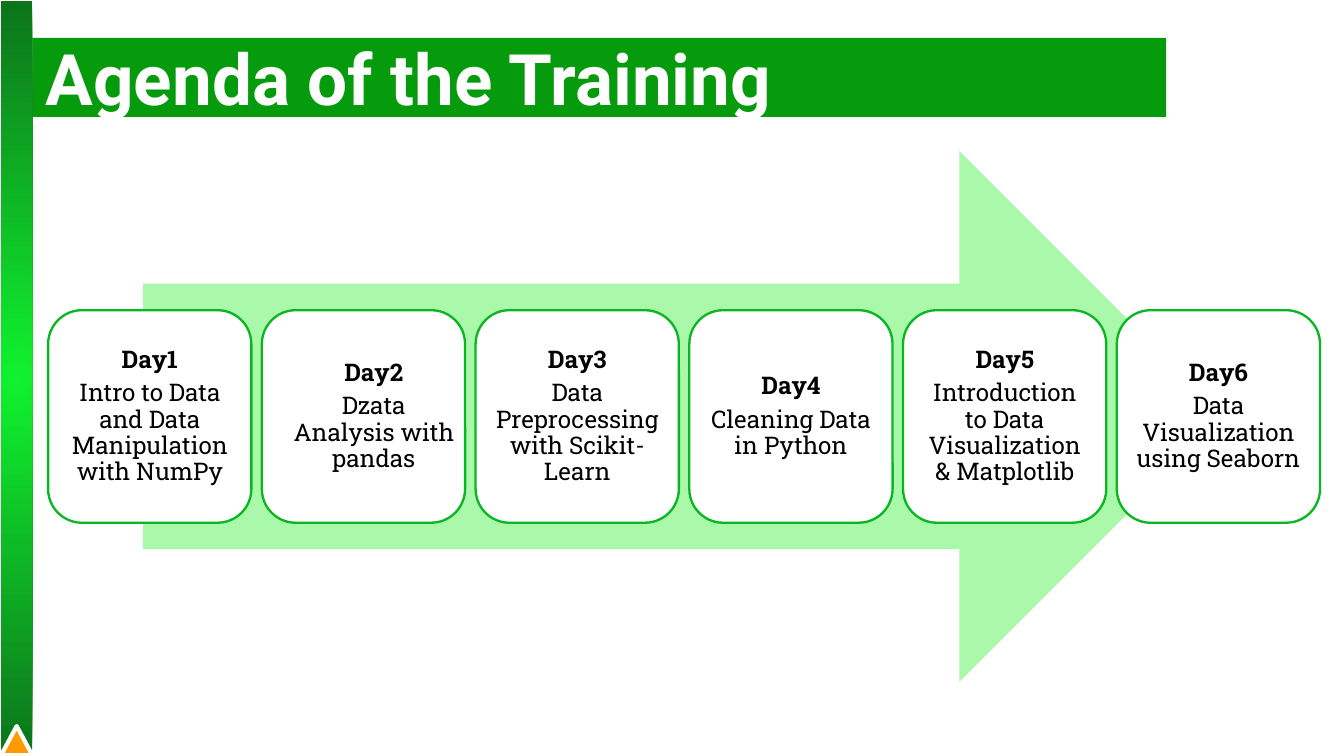
from dataclasses import dataclass

import lxml.etree
import pptx
import pptx.dml.color
import pptx.enum.shapes
import pptx.enum.text
import pptx.oxml.ns
import pptx.util

Pt = pptx.util.Pt
SHAPE = pptx.enum.shapes.MSO_SHAPE
ALIGN = pptx.enum.text.PP_ALIGN
qn = pptx.oxml.ns.qn


@dataclass(frozen=True)
class Theme:
    """Colours, fonts and type sizes of the slide."""
    banner: str = "059B0C"
    bar_centre: str = "10F22E"
    bar_edge: str = "0C741A"
    marker: str = "FF9900"
    arrow: str = "AAF8AA"
    card_line: str = "0AB622"
    white: str = "FFFFFF"
    text: str = "000000"
    title_font: str = "Roboto"
    body_font: str = "Roboto Slab"
    title_size: float = 38
    body_size: float = 13


THEME = Theme()

AGENDA = [
    ("Day1", "Intro to Data and Data Manipulation with NumPy"),
    ("Day2", "Dzata Analysis with pandas"),
    ("Day3", "Data Preprocessing with Scikit-Learn"),
    ("Day4", "Cleaning Data in Python"),
    ("Day5", "Introduction to Data Visualization & Matplotlib"),
    ("Day6", "Data Visualization using Seaborn"),
]
TOPIC_SHIFTS = {"Day2": 5.5}

CARD_LEFT, CARD_TOP = 25.8, 166.2
CARD_WIDTH, CARD_HEIGHT = 108.9, 113.9
CARD_PITCH = 114.5
CARD_PADDING = 5.3


def rgb(colour):
    """Turn a hex string into a colour."""
    return pptx.dml.color.RGBColor.from_string(colour)


def add_block(shapes, kind, box, fill=None, line=None, line_width=1):
    """Add a preset shape with a plain fill and an optional outline."""
    block = shapes.add_shape(kind, *map(Pt, box))
    block.shadow.inherit = False
    if fill:
        block.fill.solid()
        block.fill.fore_color.rgb = rgb(fill)
    if line:
        block.line.color.rgb = rgb(line)
        block.line.width = Pt(line_width)
    else:
        block.line.fill.background()
    return block


def style_paragraph(paragraph, font, size, colour, bold, align):
    """Format the runs and the alignment of a paragraph."""
    paragraph.alignment = align
    for run in paragraph.runs:
        run.font.name = font
        run.font.size = Pt(size)
        run.font.bold = bold
        run.font.color.rgb = rgb(colour)


def prepare_frame(frame, inset):
    """Give a text frame equal insets, wrapping and middle anchoring."""
    frame.word_wrap = True
    frame.auto_size = pptx.enum.text.MSO_AUTO_SIZE.NONE
    frame.vertical_anchor = pptx.enum.text.MSO_ANCHOR.MIDDLE
    frame.margin_left = frame.margin_right = Pt(inset)
    frame.margin_top = frame.margin_bottom = Pt(inset)


def set_title(title, wording, box):
    """Shape the title placeholder as a pointed banner."""
    title.left, title.top, title.width, title.height = map(Pt, box)
    outline = lxml.etree.SubElement(
        title.element.spPr, qn("a:prstGeom"), prst="homePlate")
    lxml.etree.SubElement(outline, qn("a:avLst"))
    title.fill.solid()
    title.fill.fore_color.rgb = rgb(THEME.banner)
    title.text_frame.text = wording
    prepare_frame(title.text_frame, 7.2)
    style_paragraph(title.text_frame.paragraphs[0], THEME.title_font,
                    THEME.title_size, THEME.white, True, ALIGN.LEFT)


def add_side_bar(shapes, box):
    """Add the bar on the left with a gradient out from its centre."""
    bar = add_block(shapes, SHAPE.RECTANGLE, box)
    bar.fill.gradient()
    colours = (THEME.bar_centre, THEME.bar_edge)
    for stop, position, colour in zip(bar.fill.gradient_stops, (0, 1), colours):
        stop.position = position
        stop.color.rgb = rgb(colour)
    gradient = bar.element.spPr.find(qn("a:gradFill"))
    linear = gradient.find(qn("a:lin"))
    radial = lxml.etree.Element(qn("a:path"), {"path": "circle"})
    lxml.etree.SubElement(radial, qn("a:fillToRect"),
                          {side: "50000" for side in "ltrb"})
    gradient.replace(linear, radial)


def add_day_card(shapes, left, day, topic):
    """Add a rounded card with the day and its topic."""
    add_block(shapes, SHAPE.ROUNDED_RECTANGLE,
              (left, CARD_TOP, CARD_WIDTH, CARD_HEIGHT),
              THEME.white, THEME.card_line, 1.25)
    label = shapes.add_textbox(
        Pt(left + CARD_PADDING + TOPIC_SHIFTS.get(day, 0)),
        Pt(CARD_TOP + CARD_PADDING),
        Pt(CARD_WIDTH - 2 * CARD_PADDING),
        Pt(CARD_HEIGHT - 2 * CARD_PADDING))
    frame = label.text_frame
    prepare_frame(frame, 3.6)
    frame.text = f"{day}\n{topic}"
    for paragraph, bold, space in zip(frame.paragraphs, (True, False), (0, 4)):
        paragraph.line_spacing = 0.9
        paragraph.space_before = Pt(space)
        style_paragraph(paragraph, THEME.body_font, THEME.body_size,
                        THEME.text, bold, ALIGN.CENTER)


def main():
    """Build the agenda slide and save it."""
    deck = pptx.Presentation()
    deck.slide_width, deck.slide_height = Pt(720), Pt(405)
    slide = deck.slides.add_slide(deck.slide_layouts.get_by_name("Title Only"))

    set_title(slide.shapes.title, "Agenda of the Training",
              (17.3, 20.3, 607.5, 42.3))
    add_side_bar(slide.shapes, (0.6, 0.6, 16.7, 404.4))
    add_block(slide.shapes, SHAPE.ISOSCELES_TRIANGLE, (0.6, 389, 16.7, 15.6),
              THEME.marker, THEME.white, 2.25)

    timeline = slide.shapes.add_group_shape().shapes
    add_block(timeline, SHAPE.RIGHT_ARROW, (76.5, 80.9, 579.6, 284.4),
              THEME.arrow)
    for index, (day, topic) in enumerate(AGENDA):
        add_day_card(timeline, CARD_LEFT + index * CARD_PITCH, day, topic)

    deck.save("out.pptx")


main()
